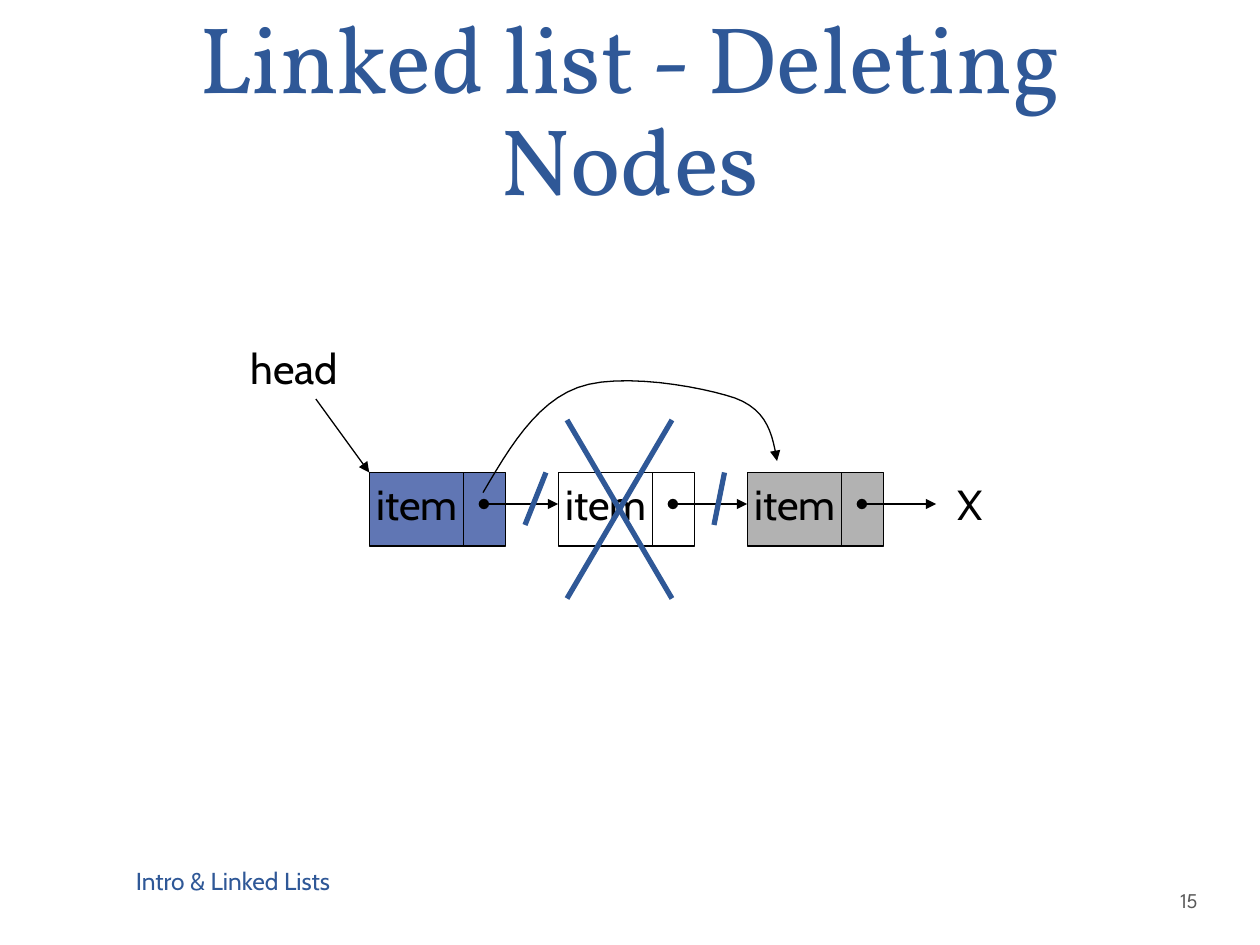
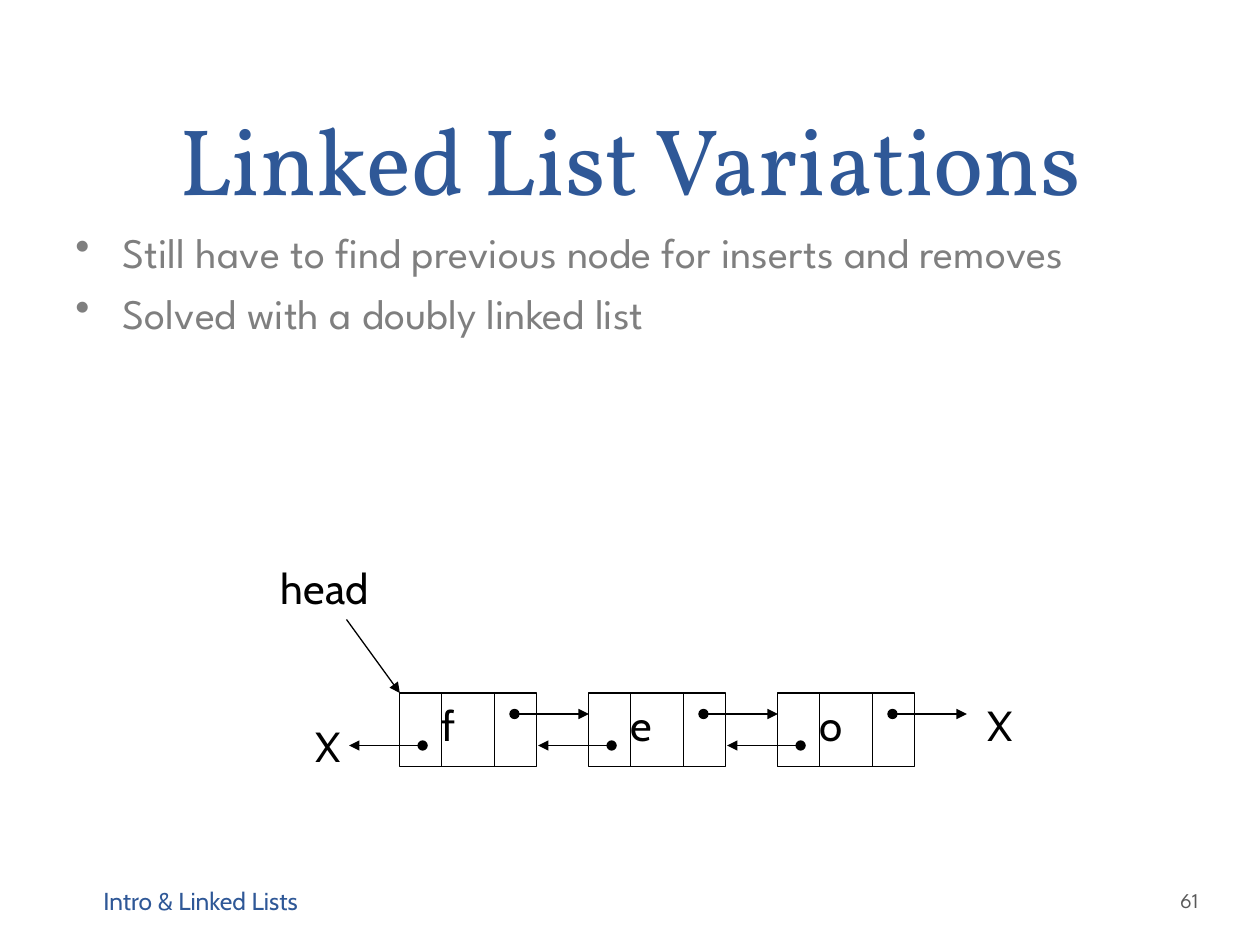
from pptx import Presentation
from pptx.dml.color import RGBColor
from pptx.enum.shapes import MSO_CONNECTOR, MSO_SHAPE
from pptx.enum.text import MSO_ANCHOR, PP_ALIGN
from pptx.util import Pt
from lxml.etree import SubElement
from pptx.oxml.ns import qn

BLUE, BLACK, GREY = "2F5897", "000000", "7F7F7F"
STEP, WIDE, HIGH = 108, 78, 42
color = RGBColor.from_string


def write(slide, text, x, y, w, h, font="Cabin", size=24, shade=BLACK,
          anchor=MSO_ANCHOR.TOP, inset=7.2):
    """Add a text box, one paragraph a line, and return its paragraphs."""
    frame = slide.shapes.add_textbox(Pt(x), Pt(y), Pt(w), Pt(h)).text_frame
    frame.word_wrap = True
    frame.vertical_anchor = anchor
    frame.margin_left = Pt(inset)
    frame.text = text
    for par in frame.paragraphs:
        par.font.name = font
        par.font.size = Pt(size)
        par.font.color.rgb = color(shade)
    return frame.paragraphs


def draw(slide, points, shade=BLACK, width=0.75, head=None, tail=None):
    """Join two points with a connector, or more with an open outline."""
    spots = [(Pt(x), Pt(y)) for x, y in points]
    if len(spots) == 2:
        line = slide.shapes.add_connector(MSO_CONNECTOR.STRAIGHT, *spots[0], *spots[1])
    else:
        path = slide.shapes.build_freeform(*spots[0], scale=1.0)
        path.add_line_segments(spots[1:], close=False)
        line = path.convert_to_shape()
        line.fill.background()
    line.line.color.rgb = color(shade)
    line.line.width = Pt(width)
    edge = line.line._get_or_add_ln()
    for tag, kind in (("a:headEnd", head), ("a:tailEnd", tail)):
        if kind:
            SubElement(edge, qn(tag), type=kind, w="med", len="med")
    SubElement(line._element.spPr, qn("a:effectLst"))


deck = Presentation()
deck.slide_width, deck.slide_height = Pt(720), Pt(540)

# title, number, footer box, first node, word indent, arrow drop, nodes
pages = [
    ("Linked list - Deleting Nodes", "15", (70.5, 485, 312, 36), (211, 270), 4, 18,
     [("item", "6076B4"), ("item", None), ("item", "B2B2B2")]),
    ("Linked List Variations", "61", (52, 500, 224, 29), (228.5, 396), 24, 12,
     [("f", None), ("e", None), ("o", None)]),
]
slides = []
for title, number, foot, (left, top), indent, drop, nodes in pages:
    slide = deck.slides.add_slide(deck.slide_layouts[6])
    slides.append(slide)
    par = write(slide, title, 36, 0, 648, 126, "Vollkorn", 54, BLUE, MSO_ANCHOR.BOTTOM)[0]
    par.alignment = PP_ALIGN.CENTER
    par.line_spacing = Pt(58)
    write(slide, "Intro & Linked Lists", *foot, "Cabin", 14, BLUE, MSO_ANCHOR.MIDDLE)
    write(slide, number, 672.5, 500, 44, 29, "League Spartan", 12, "595959",
          MSO_ANCHOR.MIDDLE, 2)

    write(slide, "head", left - 75, top - 78, 75, 36)
    draw(slide, [(left - 30.5, top - 42), (left, top)], tail="triangle")
    write(slide, "X", left + 329, top, 36, 36)
    for i, (word, fill) in enumerate(nodes):
        x = left + i * STEP
        box = slide.shapes.add_shape(MSO_SHAPE.RECTANGLE, Pt(x), Pt(top), Pt(WIDE), Pt(HIGH))
        box.shadow.inherit = False
        box.line.color.rgb = color(BLACK)
        box.line.width = Pt(0.75)
        if fill:
            box.fill.solid()
            box.fill.fore_color.rgb = color(fill)
        else:
            box.fill.background()
        write(slide, word, x + indent, top, 60, 36, inset=0)
        draw(slide, [(x + 54, top), (x + 54, top + HIGH)])
        draw(slide, [(x + 65.5, top + drop), (x + STEP, top + drop)],
             head="oval", tail="triangle")

first, second = slides

# Deleting: cross out the middle node, cut its links, bypass it
for cut in ([(324, 240), (384, 342)], [(384, 240), (324, 342)],
            [(312, 270), (300, 300)], [(414, 270), (408, 300)]):
    draw(first, cut, BLUE, 3)
bends = [
    [(276, 281.5), (291, 256), (306, 230.5), (330, 221.5)],
    [(330, 221.5), (354, 212.5), (401, 221), (420, 227.5)],
    [(420, 227.5), (439, 234.5), (441.5, 249), (444, 263.5)],
]
curve = [bends[0][0]]
for bend in bends:
    for k in range(1, 13):
        t = k / 12
        parts = ((1 - t) ** 3, 3 * t * (1 - t) ** 2, 3 * t * t * (1 - t), t ** 3)
        curve.append(tuple(sum(p * spot[axis] for p, spot in zip(parts, bend))
                           for axis in (0, 1)))
draw(first, curve, tail="triangle")

# Variations: bullets and backward links
points = ("Still have to find previous node for inserts and removes\n"
          "Solved with a doubly linked list")
for i, par in enumerate(write(second, points, 36, 126, 648, 356, "League Spartan", 24, GREY)):
    props = par._p.get_or_add_pPr()
    props.set("marL", str(Pt(27)))
    props.set("indent", str(-Pt(27)))
    # Bullets come before the font defaults in the schema
    tint = props.makeelement(qn("a:buClr"), {})
    SubElement(tint, qn("a:srgbClr"), val=GREY)
    props.insert(0, tint)
    props.insert(1, props.makeelement(qn("a:buChar"), {"char": "•"}))
    if i:
        par.space_before = Pt(6)

left, top = pages[1][3]
for i in range(3):
    x = left + i * STEP
    draw(second, [(x + 24, top), (x + 24, top + HIGH)])
    draw(second, [(x + 13, top + 30), (x - 29, top + 30)], head="oval", tail="triangle")
write(second, "X", 173, top + 12, 36, 36)

deck.save("out.pptx")
